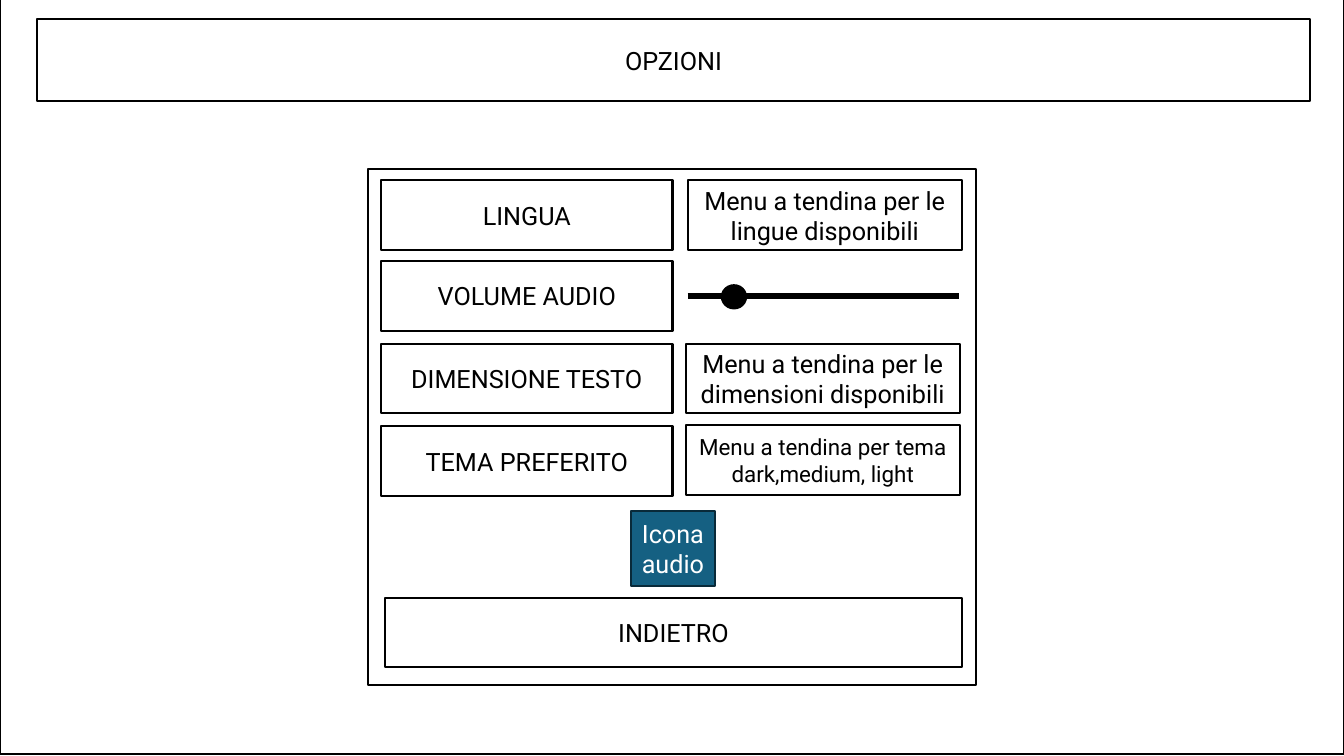
from lxml import etree
from pptx import Presentation
from pptx.dml.color import RGBColor
from pptx.enum import shapes, text
from pptx.oxml.ns import qn
from pptx.util import Inches, Pt

BLACK = RGBColor(0x00, 0x00, 0x00)
WHITE = RGBColor(0xFF, 0xFF, 0xFF)
TEAL = RGBColor(0x15, 0x60, 0x82)
DARK_TEAL = RGBColor(0x09, 0x2A, 0x39)
RECTANGLE = shapes.MSO_SHAPE.RECTANGLE

deck = Presentation()
deck.slide_width = Inches(13.33)
deck.slide_height = Inches(7.5)
page = deck.slides.add_slide(deck.slide_layouts[6])


def add_box(left, top, width, height, label="", size=18, fill=WHITE,
            line=BLACK, color=BLACK, kind=RECTANGLE):
    box = page.shapes.add_shape(
        kind, Inches(left), Inches(top), Inches(width), Inches(height))
    box.shadow.inherit = False
    box.fill.solid()
    box.fill.fore_color.rgb = fill
    box.line.color.rgb = line
    box.line.width = Pt(1.5)
    if label:
        frame = box.text_frame
        frame.text = label
        frame.word_wrap = True
        frame.vertical_anchor = text.MSO_ANCHOR.MIDDLE
        para = frame.paragraphs[0]
        para.alignment = text.PP_ALIGN.CENTER
        span = para.runs[0]
        span.font.name = "Roboto"
        span.font.size = Pt(size)
        span.font.color.rgb = color


add_box(0, -0.02, 13.33, 7.5)
add_box(0.37, 0.19, 12.62, 0.81, "OPZIONI")
add_box(3.65, 1.68, 6.03, 5.12)

row_height = 0.69
settings = [
    (1.79, "LINGUA"),
    (2.59, "VOLUME AUDIO"),
    (3.41, "DIMENSIONE TESTO"),
    (4.23, "TEMA PREFERITO"),
]
for top, label in settings:
    add_box(3.78, top, 2.89, row_height, label)

add_box(3.82, 5.93, 5.72, row_height, "INDIETRO")

menus = [
    (6.82, 1.79, "Menu a tendina per le lingue disponibili", 18),
    (6.8, 3.41, "Menu a tendina per le dimensioni disponibili", 18),
    (6.8, 4.22, "Menu a tendina per tema dark,medium, light", 16),
]
for left, top, label, size in menus:
    add_box(left, top, 2.72, row_height, label, size)

slider = page.shapes.add_connector(
    shapes.MSO_CONNECTOR.STRAIGHT,
    Inches(6.82), Inches(2.94), Inches(9.51), Inches(2.94))
slider.line.color.rgb = BLACK
slider.line.width = Pt(4.5)
etree.SubElement(slider._element.spPr, qn("a:effectLst"))
add_box(7.16, 2.83, 0.24, 0.23, fill=BLACK, kind=shapes.MSO_SHAPE.OVAL)

add_box(6.26, 5.07, 0.83, 0.74, "Icona audio",
        fill=TEAL, line=DARK_TEAL, color=WHITE)

deck.save("out.pptx")
